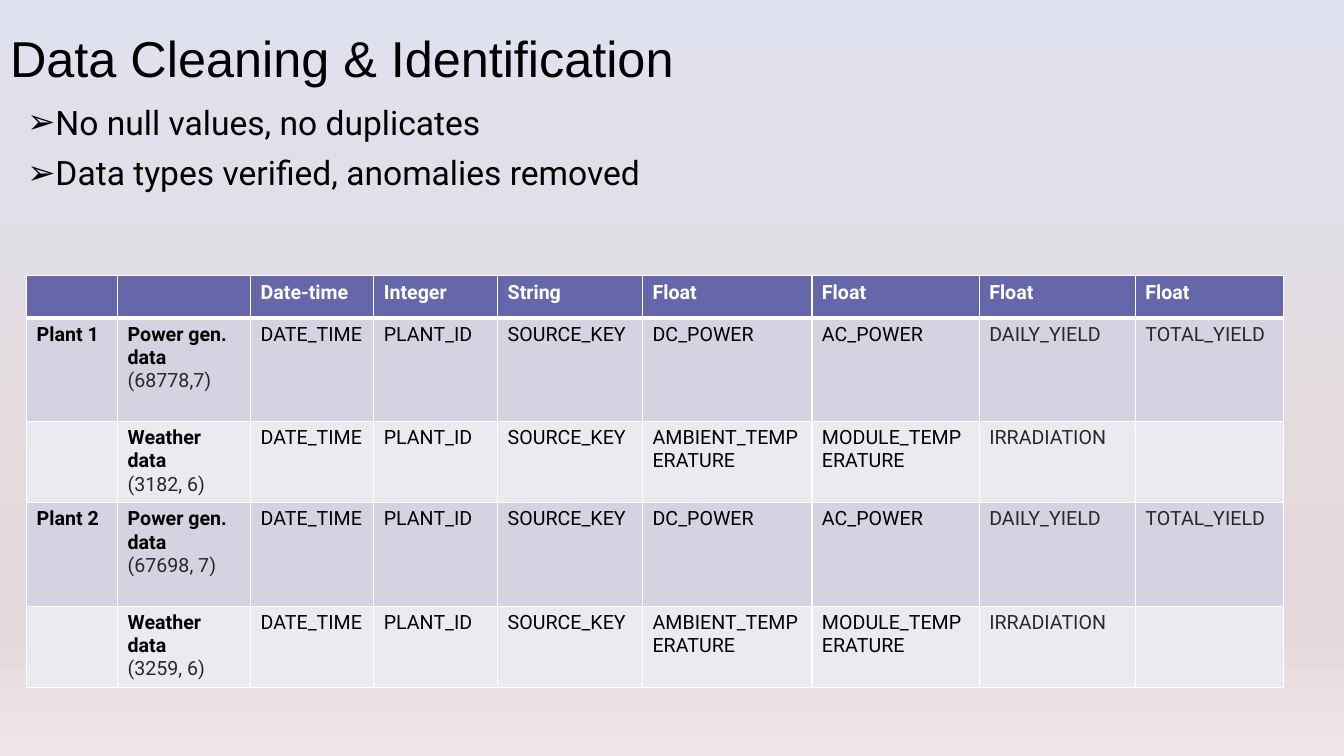
import copy

import pptx
import pptx.dml.color
import pptx.enum.text
import pptx.oxml
import pptx.oxml.ns
import pptx.util

Pt = pptx.util.Pt
qn = pptx.oxml.ns.qn

STOPS = [(0, "E0E1EE"), (0.74, "E5DADB"), (0.83, "E5DADB"), (1, "EEE6E7")]
BLACK, GREY, WHITE = "000000", "292929", "FFFFFF"
HEAD = ["", "", "Date-time", "Integer", "String"] + ["Float"] * 4
KEYS = ["DATE_TIME", "PLANT_ID", "SOURCE_KEY"]
POWER = KEYS + ["DC_POWER", "AC_POWER", "DAILY_YIELD", "TOTAL_YIELD"]
HEAT = KEYS + ["AMBIENT_TEMPERATURE", "MODULE_TEMPERATURE", "IRRADIATION", ""]
ROWS = [
    ["Plant 1", ("Power gen. data", "(68778,7)")] + POWER,
    ["", ("Weather data", "(3182, 6)")] + HEAT,
    ["Plant 2", ("Power gen. data", "(67698, 7)")] + POWER,
    ["", ("Weather data", "(3259, 6)")] + HEAT,
]
WIDTHS = [65, 95, 88, 88.5, 103.5, 121, 119.5, 111.5, 106]
HEIGHTS = [30, 74, 58, 74, 58]


def rgb(code):
    """Return the colour of a hex string."""
    return pptx.dml.color.RGBColor.from_string(code)


def add_run(para, text, size, color, font="Roboto", bold=False):
    """Add one formatted run to a paragraph."""
    run = para.add_run()
    run.text = text
    run.font.size = Pt(size)
    run.font.name = font
    run.font.bold = bold
    run.font.color.rgb = rgb(color)


def place(shape, box):
    """Move a placeholder to its box and return its text frame."""
    shape.left, shape.top, shape.width, shape.height = map(Pt, box)
    frame = shape.text_frame
    frame.word_wrap = True
    frame.auto_size = pptx.enum.text.MSO_AUTO_SIZE.NONE
    frame.vertical_anchor = pptx.enum.text.MSO_ANCHOR.TOP
    return frame


def paint(slide):
    """Fill the background with a vertical gradient."""
    fill = slide.background.fill
    fill.gradient()
    fill.gradient_angle = 270
    group = slide.element.find(".//" + qn("a:gsLst"))
    while len(group) < len(STOPS):
        group.append(copy.deepcopy(group[0]))
    for stop, (pos, code) in zip(fill.gradient_stops, STOPS):
        stop.position = pos
        stop.color.rgb = rgb(code)


def add_title(slide, box):
    """Write the title."""
    para = place(slide.shapes.title, box).paragraphs[0]
    para.alignment = pptx.enum.text.PP_ALIGN.LEFT
    add_run(para, "Data Cleaning & Identification", 36, BLACK, "Arial")


def add_list(slide, box):
    """Write the arrow list."""
    frame = place(slide.placeholders[1], box)
    frame.margin_left = 0
    lines = ["No null values, no duplicates",
             "Data types verified, anomalies removed"]
    for i, line in enumerate(lines):
        para = frame.add_paragraph() if i else frame.paragraphs[0]
        para.line_spacing = Pt(18)
        para.space_before = Pt(18 * i)
        para.space_after = Pt(0)
        props = para._p.get_or_add_pPr()
        props.set("marL", str(Pt(13.5)))
        props.set("indent", str(Pt(-13.5)))
        bullet = pptx.oxml.ns.nsdecls("a")
        props.append(pptx.oxml.parse_xml(f'<a:buChar {bullet} char="➢"/>'))
        add_run(para, line, 24, BLACK)


def edge(cell, row):
    """Draw white borders, thick below the header row."""
    props = cell._tc.get_or_add_tcPr()
    space = pptx.oxml.ns.nsdecls("a")
    for side in "LRTB":
        thick = (row, side) in [(0, "B"), (1, "T")]
        props.append(pptx.oxml.parse_xml(
            f'<a:ln{side} {space} w="{Pt(3 if thick else 1)}"><a:solidFill>'
            f'<a:srgbClr val="{WHITE}"/></a:solidFill></a:ln{side}>'))


def fill_cell(cell, row, col, text):
    """Style one cell and write its text."""
    edge(cell, row)
    cell.fill.solid()
    band = "D3D3E2" if row % 2 else "EAEBF1"
    cell.fill.fore_color.rgb = rgb(band if row else "6667AB")
    parts = text if isinstance(text, tuple) else (text,)
    for i, part in enumerate(parts):
        if not part:
            continue
        frame = cell.text_frame
        para = frame.add_paragraph() if i else frame.paragraphs[0]
        color = GREY if i or col > 6 else BLACK
        bold = row == 0 or (col < 2 and i == 0)
        add_run(para, part, 14, color if row else WHITE, bold=bold)


def add_grid(slide, left, top):
    """Build the table of data types."""
    data = [HEAD] + ROWS
    size = sum(WIDTHS), sum(HEIGHTS)
    table = slide.shapes.add_table(
        len(data), len(HEAD), *map(Pt, (left, top, *size))).table
    for col, width in zip(table.columns, WIDTHS):
        col.width = Pt(width)
    for row, height in zip(table.rows, HEIGHTS):
        row.height = Pt(height)
    for r, line in enumerate(data):
        for c, text in enumerate(line):
            fill_cell(table.cell(r, c), r, c, text)


def main():
    """Build and save the slide."""
    deck = pptx.Presentation()
    deck.slide_width, deck.slide_height = Pt(960), Pt(540)
    slide = deck.slides.add_slide(deck.slide_layouts[1])
    paint(slide)
    add_title(slide, (0, 16, 540, 94))
    add_list(slide, (19.5, 80, 634, 94))
    add_grid(slide, 19, 197)
    deck.save("out.pptx")


if __name__ == "__main__":
    main()
